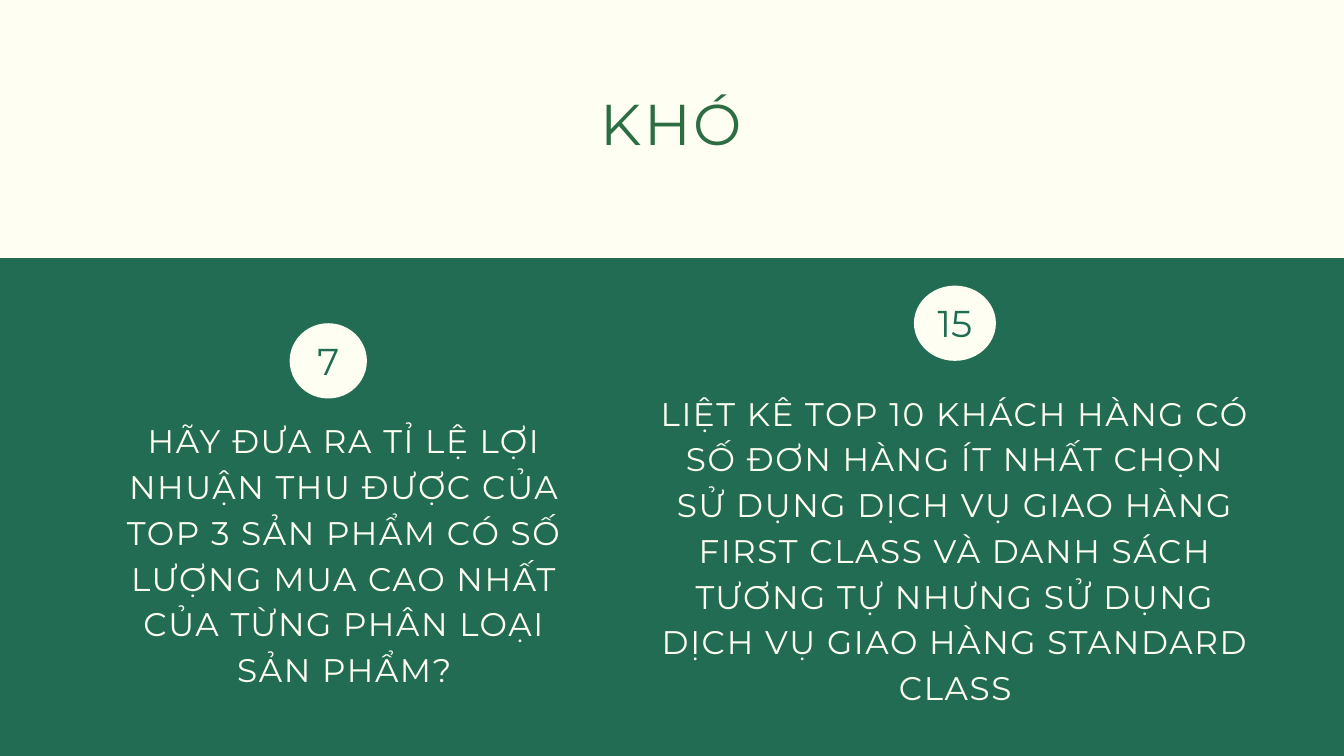
from pptx import Presentation
from pptx.dml.color import RGBColor
from pptx.enum.shapes import MSO_SHAPE
from pptx.enum.text import MSO_ANCHOR, MSO_AUTO_SIZE, PP_ALIGN
from pptx.util import Inches, Pt

CREAM = RGBColor(0xFF, 0xFE, 0xF2)
GREEN = RGBColor(0x21, 0x6C, 0x53)
TITLE_GREEN = RGBColor(0x2C, 0x6D, 0x44)
FONT = "Montserrat"
RECT, OVAL = MSO_SHAPE.RECTANGLE, MSO_SHAPE.OVAL
TOP, MIDDLE = MSO_ANCHOR.TOP, MSO_ANCHOR.MIDDLE
CENTER, NO_FIT = PP_ALIGN.CENTER, MSO_AUTO_SIZE.NONE
WIDTH, HEIGHT = 20, 11.25
BAND_TOP = 3.84
BADGE_HEIGHT = 1.12

QUESTIONS = [
    ("7", "HÃY ĐƯA RA TỈ LỆ LỢI NHUẬN THU ĐƯỢC CỦA TOP 3 SẢN PHẨM CÓ SỐ "
     "LƯỢNG MUA CAO NHẤT CỦA TỪNG PHÂN LOẠI SẢN PHẨM?",
     (4.31, 4.81, 1.15), (1.76, 6.17, 6.73, 4.05)),
    ("15", "LIỆT KÊ TOP 10 KHÁCH HÀNG CÓ SỐ ĐƠN HÀNG ÍT NHẤT CHỌN SỬ DỤNG "
     "DỊCH VỤ GIAO HÀNG FIRST CLASS VÀ DANH SÁCH TƯƠNG TỰ NHƯNG SỬ DỤNG "
     "DỊCH VỤ GIAO HÀNG STANDARD CLASS",
     (13.6, 4.25, 1.22), (9.81, 5.76, 8.81, 4.73)),
]


def inches(box):
    """Convert a box in inches to slide units."""
    return [Inches(v) for v in box]


def write(sp, text, size, color, leading, tracking=0, anchor=TOP):
    """Fill a shape with one centred, formatted paragraph."""
    tf = sp.text_frame
    tf.word_wrap, tf.auto_size, tf.vertical_anchor = True, NO_FIT, anchor
    tf.margin_left = tf.margin_right = tf.margin_top = tf.margin_bottom = 0
    p = tf.paragraphs[0]
    p.alignment, p.line_spacing, p.space_before = CENTER, Pt(leading), Pt(0)
    r = p.add_run()
    r.text = text
    r.font.name, r.font.size, r.font.color.rgb = FONT, Pt(size), color
    if tracking:
        r.font._element.set("spc", str(round(tracking * 100)))


def add_block(s, kind, box, color):
    """Add a plain filled shape."""
    sp = s.shapes.add_shape(kind, *inches(box))
    sp.shadow.inherit = False
    sp.fill.solid()
    sp.fill.fore_color.rgb = color
    sp.line.fill.background()


def add_title(s, text, box):
    """Place and format the title placeholder."""
    sp = s.shapes.title
    sp.left, sp.top, sp.width, sp.height = inches(box)
    write(sp, text, 61.6, TITLE_GREEN, 86.2, tracking=3)


def add_badge(s, number, left, top, width):
    """Add a round badge with its number."""
    add_block(s, OVAL, (left, top, width, BADGE_HEIGHT), CREAM)
    sp = s.shapes.add_textbox(*inches((left, top + 0.03, width, 0.93)))
    write(sp, number, 40, GREEN, 56, anchor=MIDDLE)


def add_question(s, number, text, badge, box):
    """Add a numbered question."""
    add_badge(s, number, *badge)
    sp = s.shapes.add_textbox(*inches(box))
    write(sp, text, 35, CREAM, 49, tracking=1.7)


def main():
    """Build the slide and save it."""
    prs = Presentation()
    prs.slide_width, prs.slide_height = Inches(WIDTH), Inches(HEIGHT)
    s = prs.slides.add_slide(prs.slide_layouts[5])
    s.background.fill.solid()
    s.background.fill.fore_color.rgb = CREAM
    add_block(s, RECT, (0, BAND_TOP, WIDTH, HEIGHT - BAND_TOP), GREEN)
    add_title(s, "KHÓ", (4.37, 1.14, 11.25, 1.15))
    for question in QUESTIONS:
        add_question(s, *question)
    prs.save("out.pptx")


if __name__ == "__main__":
    main()
